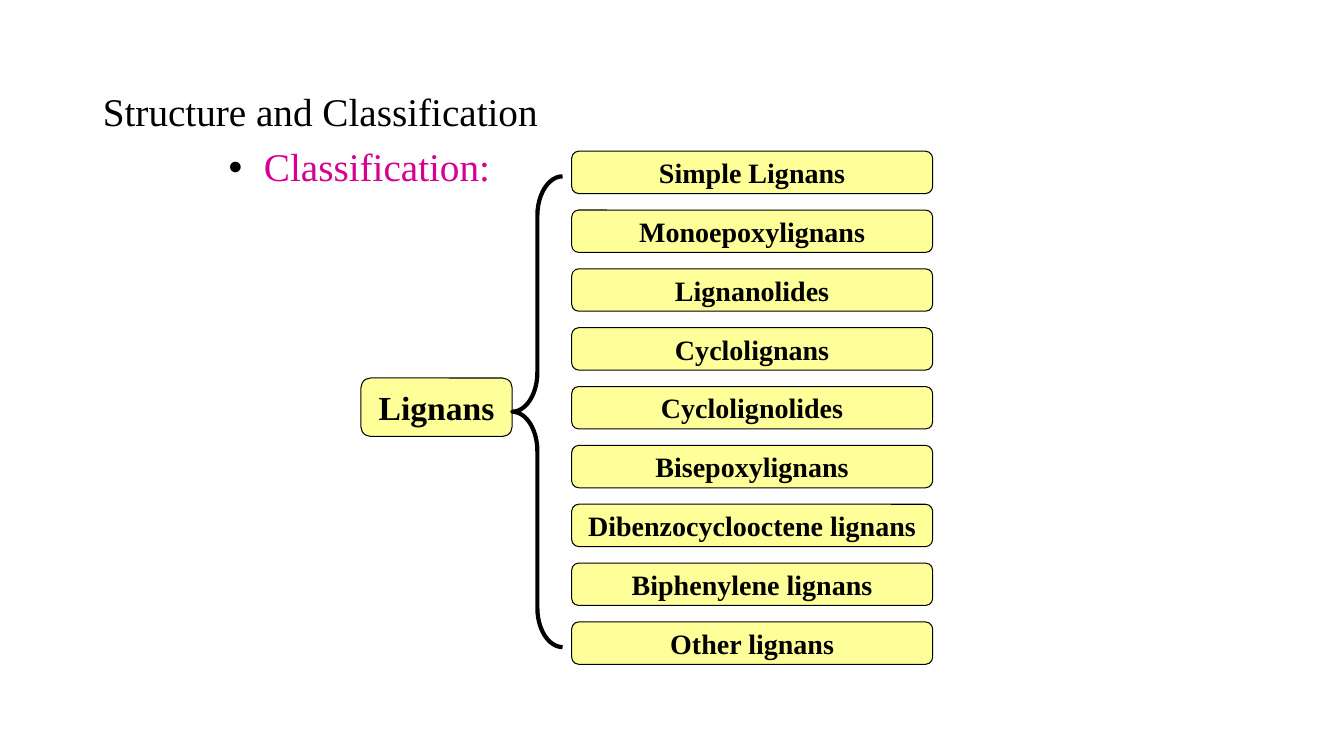
from lxml import etree
from pptx import Presentation
from pptx.dml.color import RGBColor
from pptx.enum import shapes, text
from pptx.oxml import ns
from pptx.util import Inches, Pt

BLACK = RGBColor(0x00, 0x00, 0x00)
MAGENTA = RGBColor(0xD6, 0x00, 0x93)
YELLOW = RGBColor(0xFF, 0xFF, 0x99)
FONT = "Times New Roman"

LIGNAN_CLASSES = [
    "Simple Lignans",
    "Monoepoxylignans",
    "Lignanolides",
    "Cyclolignans",
    "Cyclolignolides",
    "Bisepoxylignans",
    "Dibenzocyclooctene lignans",
    "Biphenylene lignans",
    "Other lignans",
]
FIRST_TOP, LAST_TOP = 1.5, 6.17
ROW_STEP = (LAST_TOP - FIRST_TOP) / (len(LIGNAN_CLASSES) - 1)


def format_run(paragraph, size, color=BLACK, bold=False):
    font = paragraph.runs[0].font
    font.name = FONT
    font.size = Pt(size)
    font.color.rgb = color
    font.bold = bold


def add_label(slide, label, left, top, width, height, size):
    box = slide.shapes.add_shape(
        shapes.MSO_SHAPE.ROUNDED_RECTANGLE,
        Inches(left), Inches(top), Inches(width), Inches(height))
    box.shadow.inherit = False
    box.fill.solid()
    box.fill.fore_color.rgb = YELLOW
    box.line.color.rgb = BLACK
    box.line.width = Pt(0.75)
    frame = box.text_frame
    frame.text = label
    frame.word_wrap = False
    frame.vertical_anchor = text.MSO_ANCHOR.MIDDLE
    paragraph = frame.paragraphs[0]
    paragraph.alignment = text.PP_ALIGN.CENTER
    format_run(paragraph, size, bold=True)


presentation = Presentation()
presentation.slide_width = Inches(13.33)
presentation.slide_height = Inches(7.5)
slide = presentation.slides.add_slide(presentation.slide_layouts[5])

title = slide.shapes.title
title.left, title.top = Inches(0.92), Inches(0.4)
title.width, title.height = Inches(11.5), Inches(1.45)
title.text_frame.text = "Structure and Classification"
title.text_frame.vertical_anchor = text.MSO_ANCHOR.MIDDLE
title_paragraph = title.text_frame.paragraphs[0]
title_paragraph.alignment = text.PP_ALIGN.LEFT
title_paragraph.line_spacing = 0.9
format_run(title_paragraph, 28)

body = slide.shapes.add_textbox(Inches(2.17), Inches(1.42), Inches(9), Inches(5.42))
body.text_frame.word_wrap = True
body.text_frame.text = "Classification:"
bullet_paragraph = body.text_frame.paragraphs[0]
bullet_paragraph.line_spacing = 0.9
properties = bullet_paragraph._p.get_or_add_pPr()
properties.set("marL", str(Inches(0.35)))
properties.set("indent", str(-Inches(0.35)))
bullet_color = etree.SubElement(properties, ns.qn("a:buClr"))
etree.SubElement(bullet_color, ns.qn("a:srgbClr"), val=str(BLACK))
etree.SubElement(properties, ns.qn("a:buFont"), typeface="Arial")
etree.SubElement(properties, ns.qn("a:buChar"), char="•")
format_run(bullet_paragraph, 28, MAGENTA)

add_label(slide, "Lignans", 3.58, 3.75, 1.5, 0.58, 24)

brace = slide.shapes.add_shape(
    shapes.MSO_SHAPE.LEFT_BRACE,
    Inches(5.08), Inches(1.75), Inches(0.5), Inches(4.67))
brace.adjustments[0] = 0.78
brace.shadow.inherit = False
brace.fill.background()
brace.line.color.rgb = BLACK
brace.line.width = Pt(3)

for row, lignan_class in enumerate(LIGNAN_CLASSES):
    add_label(slide, lignan_class, 5.67, FIRST_TOP + row * ROW_STEP, 3.58, 0.42, 20)

presentation.save("out.pptx")
